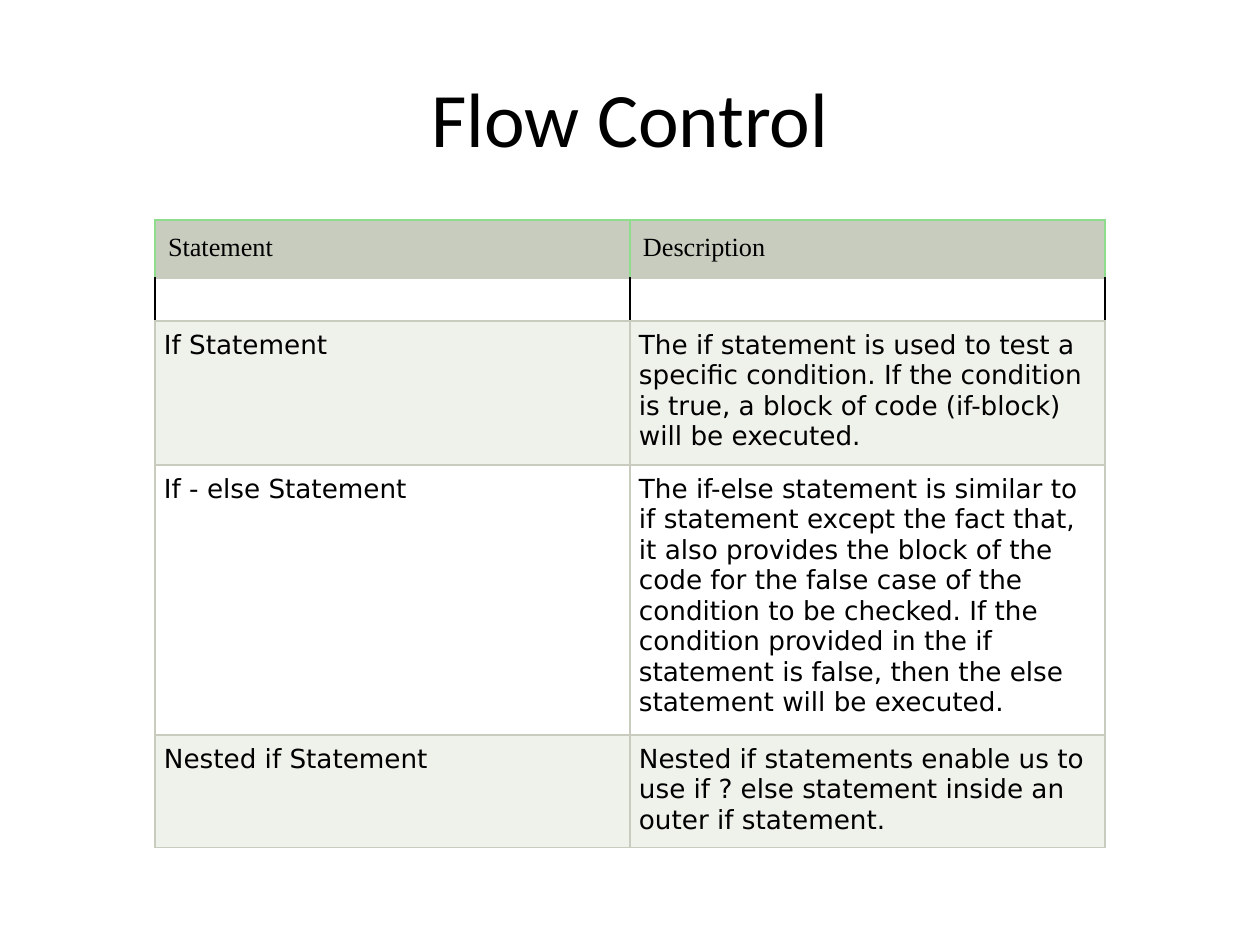
import pptx
import pptx.util
import pptx.dml.color
import pptx.enum.text
import pptx.oxml.ns
import lxml.etree

HUES = {"ink": "000000", "paper": "FFFFFF", "sage": "C7CCBE",
        "pale": "EFF1EB", "green": "90DC8D"}
ROWS = [
    ("Statement", "Description"),
    ("", ""),
    ("If Statement",
     "The if statement is used to test a specific condition. If the condition "
     "is true, a block of code (if-block) will be executed."),
    ("If - else Statement",
     "The if-else statement is similar to if statement except the fact that, "
     "it also provides the block of the code for the false case of the "
     "condition to be checked. If the condition provided in the if statement "
     "is false, then the else statement will be executed."),
    ("Nested if Statement",
     "Nested if statements enable us to use if ? else statement inside an "
     "outer if statement."),
]
HIGHS = [58, 43, 143, 269, 112]
HEAD = ("sage", "Times New Roman", 13, ("green", "green", "green", "sage"))
GAP = ("paper", "DejaVu Sans", 0, ("ink", "ink", "sage", "sage"))
BODY = ("pale", "DejaVu Sans", 9, ("sage",) * 4)
PLAIN = ("paper",) + BODY[1:]
STYLES = [HEAD, GAP, BODY, PLAIN, BODY]


def px(n):
    return pptx.util.Emu(round(n * 914400 / 126))


def hue(name):
    return pptx.dml.color.RGBColor.from_string(HUES[name])


def write(para, text, font, size):
    run = para.add_run()
    run.text = text
    run.font.name = font
    run.font.size = pptx.util.Pt(size)
    run.font.color.rgb = hue("ink")


def edge(cell, hues):
    props = cell._tc.get_or_add_tcPr()
    qn = pptx.oxml.ns.qn
    for side, name in zip("LRTB", hues):
        line = lxml.etree.SubElement(props, qn("a:ln" + side), w="9525")
        fill = lxml.etree.SubElement(line, qn("a:solidFill"))
        lxml.etree.SubElement(fill, qn("a:srgbClr"), val=HUES[name])


def title(slide, left, top, width, height):
    box = slide.shapes.add_textbox(px(left), px(top), px(width), px(height))
    frame = box.text_frame
    frame.word_wrap = True
    frame.vertical_anchor = pptx.enum.text.MSO_ANCHOR.MIDDLE
    para = frame.paragraphs[0]
    para.alignment = pptx.enum.text.PP_ALIGN.CENTER
    write(para, "Flow Control", "Calibri", 44)


def grid(slide, left, top, width, height):
    table = slide.shapes.add_table(len(ROWS), 2, px(left), px(top),
                                   px(width), px(height)).table
    table.first_row = table.horz_banding = False
    for col in table.columns:
        col.width = px(width / 2)
    for i, (texts, high, style) in enumerate(zip(ROWS, HIGHS, STYLES)):
        table.rows[i].height = px(high * height / sum(HIGHS))
        fill, font, inset, hues = style
        for j, text in enumerate(texts):
            cell = table.cell(i, j)
            cell.margin_left = cell.margin_right = px(inset)
            cell.margin_top = cell.margin_bottom = px(inset)
            edge(cell, hues)
            cell.fill.solid()
            cell.fill.fore_color.rgb = hue(fill)
            if text:
                write(cell.text_frame.paragraphs[0], text, font, 15)


deck = pptx.Presentation()
deck.slide_width, deck.slide_height = px(1260), px(945)
page = deck.slides.add_slide(deck.slide_layouts[6])
title(page, 63, 38, 1134, 157)
grid(page, 155, 220, 950, 625)
deck.save("out.pptx")
